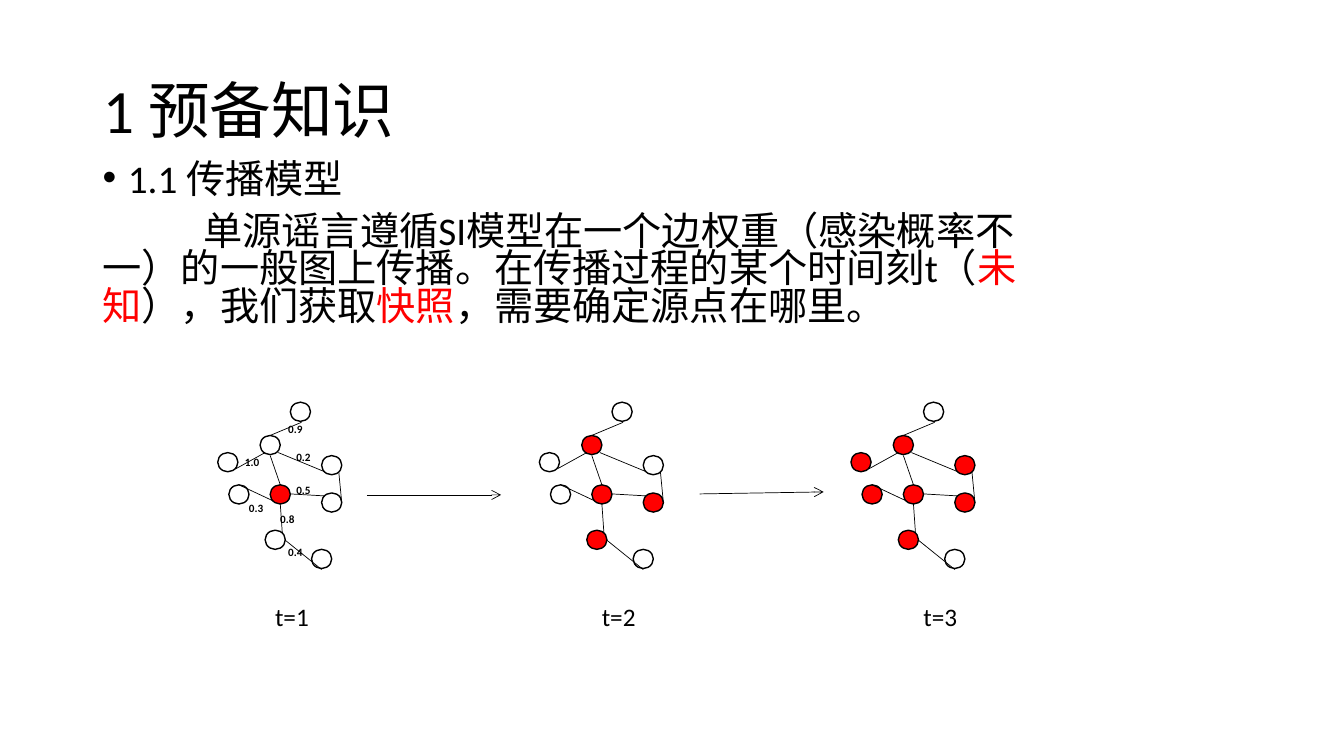
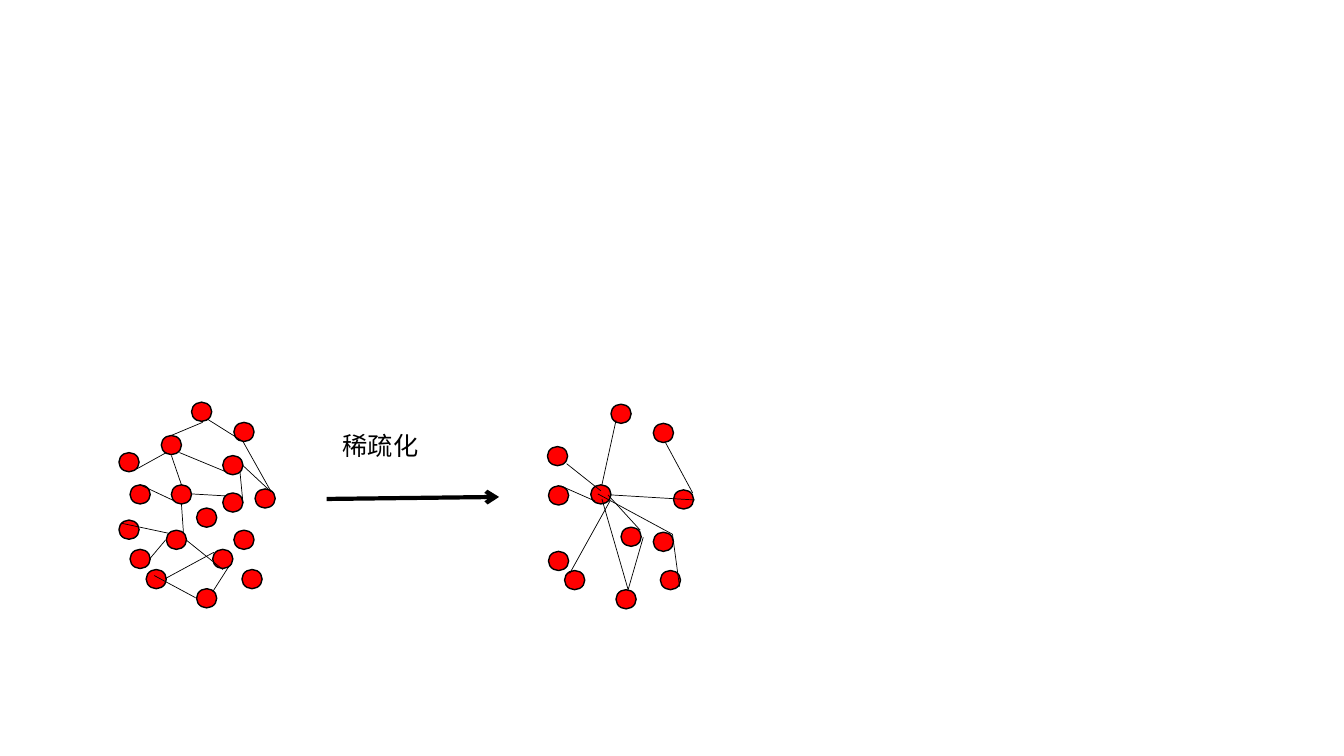
import pptx
import pptx.util
import pptx.dml.color
import pptx.enum.shapes
import pptx.enum.text
import pptx.oxml.xmlchemy
from dataclasses import dataclass

Inches = pptx.util.Inches
Pt = pptx.util.Pt


@dataclass(frozen=True)
class Theme:
    font: str = "Calibri"
    ink: str = "000000"
    paper: str = "FFFFFF"
    hot: str = "FF0000"
    title: int = 44
    body: int = 28
    label: int = 18
    weight: int = 8
    thin: float = 0.5
    rim: float = 1
    thick: float = 3
    node: tuple = (0.2, 0.19)


def color(code):
    return pptx.dml.color.RGBColor.from_string(code)


def add_xml(parent, tag, **attrs):
    node = pptx.oxml.xmlchemy.OxmlElement(tag)
    for key, value in attrs.items():
        node.set(key, value)
    parent.append(node)


class Deck:
    def __init__(self, theme):
        self.theme = theme
        self.prs = pptx.Presentation()
        self.prs.slide_width = Inches(13.33)
        self.prs.slide_height = Inches(7.5)
        self.slide = None

    def page(self, title=None):
        layout = self.prs.slide_layouts[5 if title else 6]
        self.slide = self.prs.slides.add_slide(layout)
        if title:
            shape = self.slide.shapes.title
            shape.left, shape.top = Inches(0.92), Inches(0.4)
            shape.width, shape.height = Inches(11.5), Inches(1.45)
            frame = shape.text_frame
            frame.text = title
            frame.vertical_anchor = pptx.enum.text.MSO_ANCHOR.MIDDLE
            para = frame.paragraphs[0]
            para.alignment = pptx.enum.text.PP_ALIGN.LEFT
            para.line_spacing = 0.9
            self.style(para.runs[0], self.theme.title)

    def style(self, run, size, code=None, bold=False):
        run.font.name = self.theme.font
        run.font.size = Pt(size)
        run.font.bold = bold
        run.font.color.rgb = color(code or self.theme.ink)

    def frame(self, x, y, w, h):
        box = self.slide.shapes.add_textbox(Inches(x), Inches(y), Inches(w), Inches(h))
        box.text_frame.word_wrap = True
        return box.text_frame

    def label(self, text, x, y, w, h=0.4, size=None, bold=False):
        frame = self.frame(x, y, w, h)
        frame.auto_size = pptx.enum.text.MSO_AUTO_SIZE.SHAPE_TO_FIT_TEXT
        frame.text = text
        self.style(frame.paragraphs[0].runs[0], size or self.theme.label, bold=bold)

    def body(self, head, parts, x, y, w, h):
        frame = self.frame(x, y, w, h)
        frame.text = head
        first, second = frame.paragraphs[0], frame.add_paragraph()
        for text, code in parts:
            run = second.add_run()
            run.text = text
            self.style(run, self.theme.body, code)
        self.style(first.runs[0], self.theme.body)
        for para in (first, second):
            para.line_spacing = 0.8
            para.space_before = Pt(10)
        props = first._p.get_or_add_pPr()
        props.set("marL", str(Inches(0.25)))
        props.set("indent", str(Inches(-0.25)))
        add_xml(props, "a:buFont", typeface="Arial")
        add_xml(props, "a:buChar", char="•")
        second._p.get_or_add_pPr().set("indent", str(Inches(1)))

    def node(self, x, y, fill):
        w, h = self.theme.node
        dot = self.slide.shapes.add_shape(
            pptx.enum.shapes.MSO_SHAPE.OVAL, Inches(x), Inches(y), Inches(w), Inches(h))
        dot.shadow.inherit = False
        dot.fill.solid()
        dot.fill.fore_color.rgb = color(fill)
        dot.line.color.rgb = color(self.theme.ink)
        dot.line.width = Pt(self.theme.rim)

    def line(self, x1, y1, x2, y2, width=None, arrow=False):
        link = self.slide.shapes.add_connector(
            pptx.enum.shapes.MSO_CONNECTOR.STRAIGHT,
            Inches(x1), Inches(y1), Inches(x2), Inches(y2))
        link.line.color.rgb = color(self.theme.ink)
        link.line.width = Pt(width or self.theme.thin)
        props = link._element.spPr
        if arrow:
            add_xml(props.get_or_add_ln(), "a:tailEnd", type="arrow")
        add_xml(props, "a:effectLst")

    def graph(self, nodes, edges, hot=None, dx=0):
        for name, (x, y) in enumerate(nodes):
            red = hot is None or name in hot
            self.node(x + dx, y, self.theme.hot if red else self.theme.paper)
        for x1, y1, x2, y2 in edges:
            self.line(x1 + dx, y1, x2 + dx, y2)


NODES = [(2.58, 4.32), (2.27, 4.81), (3.19, 4.52), (2.68, 4.81), (2.63, 5.26),
         (3.19, 4.89), (3.09, 5.45), (2.16, 4.49), (2.88, 3.99)]
EDGES = [(2.78, 4.81, 2.68, 4.52), (3.39, 4.99, 3.36, 4.68), (2.8, 5.29, 2.78, 5),
         (3.22, 4.68, 2.76, 4.49), (2.71, 4.97, 2.37, 4.81), (2.99, 4.19, 2.68, 4.32),
         (3.22, 4.92, 2.88, 4.9), (3.19, 5.65, 2.83, 5.36), (2.34, 4.65, 2.63, 4.49)]
STEPS = [(0, {3}), (3.19, {0, 3, 4, 5}), (6.28, {0, 1, 2, 3, 4, 5, 7})]
TIMES = [("t=1", 2.63, 1.54), ("t=2", 5.87, 1.21), ("t=3", 9.06, 1.32)]
ODDS = [("0.2", 2.84, 4.42), ("0.3", 2.37, 4.92), ("0.4", 2.76, 5.36), ("0.5", 2.84, 4.75),
        ("0.8", 2.68, 5.03), ("0.9", 2.76, 4.14), ("1.0", 2.33, 4.47)]
MORE_NODES = [(2.32, 5.26), (1.18, 5.16), (2.32, 4.19), (1.45, 5.65), (2.53, 4.85),
              (1.95, 5.84), (1.95, 5.04), (2.4, 5.65), (1.29, 5.45)]
MORE_EDGES = [(1.94, 5.93, 1.53, 5.71), (1.64, 5.36, 1.48, 5.55), (2.12, 5.48, 1.64, 5.74),
              (2.27, 5.62, 2.11, 5.87), (1.2, 5.19, 1.67, 5.29), (2.41, 4.38, 2.69, 4.88),
              (2.06, 4.16, 2.41, 4.38), (2.69, 4.88, 2.4, 4.61)]
SPARSE_NODES = [(5.44, 4.82), (5.86, 4.81), (5.43, 4.43), (6.06, 4.01), (6.48, 5.28),
                (6.16, 5.23), (6.48, 4.2), (5.6, 5.66), (6.68, 4.86), (6.11, 5.85),
                (6.55, 5.66), (5.44, 5.47)]
SPARSE_EDGES = [(5.9, 4.97, 5.56, 4.82), (6.89, 4.96, 6.06, 4.91), (6.6, 4.39, 6.87, 4.89),
                (5.65, 5.69, 6.05, 4.97), (6.67, 5.3, 5.93, 4.9), (6.11, 4.17, 5.97, 4.81),
                (5.62, 4.6, 5.96, 4.87), (6.23, 5.85, 5.97, 4.95), (6.35, 5.26, 6.03, 4.91),
                (6.23, 5.85, 6.38, 5.33), (6.74, 5.82, 6.67, 5.3)]


def spread(deck):
    theme = deck.theme
    deck.page("1 预备知识")
    deck.body("1.1 传播模型", [
        ("单源谣言遵循SI模型在一个边权重（感染概率不一）的一般图上传播。"
         "在传播过程的某个时间刻t（", theme.ink),
        ("未知", theme.hot),
        ("），我们获取", theme.ink),
        ("快照", theme.hot),
        ("，需要确定源点在哪里。", theme.ink),
    ], 0.92, 1.57, 9.34, 1.88)
    for dx, hot in STEPS:
        deck.graph(NODES, EDGES, hot, dx)
    deck.line(3.64, 4.91, 4.97, 4.91, arrow=True)
    deck.line(6.94, 4.9, 8.17, 4.88, arrow=True)
    for text, x, w in TIMES:
        deck.label(text, x, 5.92, w)
    for text, x, y in ODDS:
        deck.label(text, x, y, 0.42, 0.23, theme.weight, True)


def sparse(deck):
    deck.page()
    deck.graph(NODES, EDGES, dx=-0.98)
    deck.graph(MORE_NODES, MORE_EDGES)
    deck.graph(SPARSE_NODES, SPARSE_EDGES)
    deck.line(3.24, 4.95, 4.95, 4.93, deck.theme.thick, True)
    deck.label("稀疏化", 3.3, 4.22, 1.5)


def main():
    deck = Deck(Theme())
    spread(deck)
    sparse(deck)
    deck.prs.save("out.pptx")


if __name__ == "__main__":
    main()
